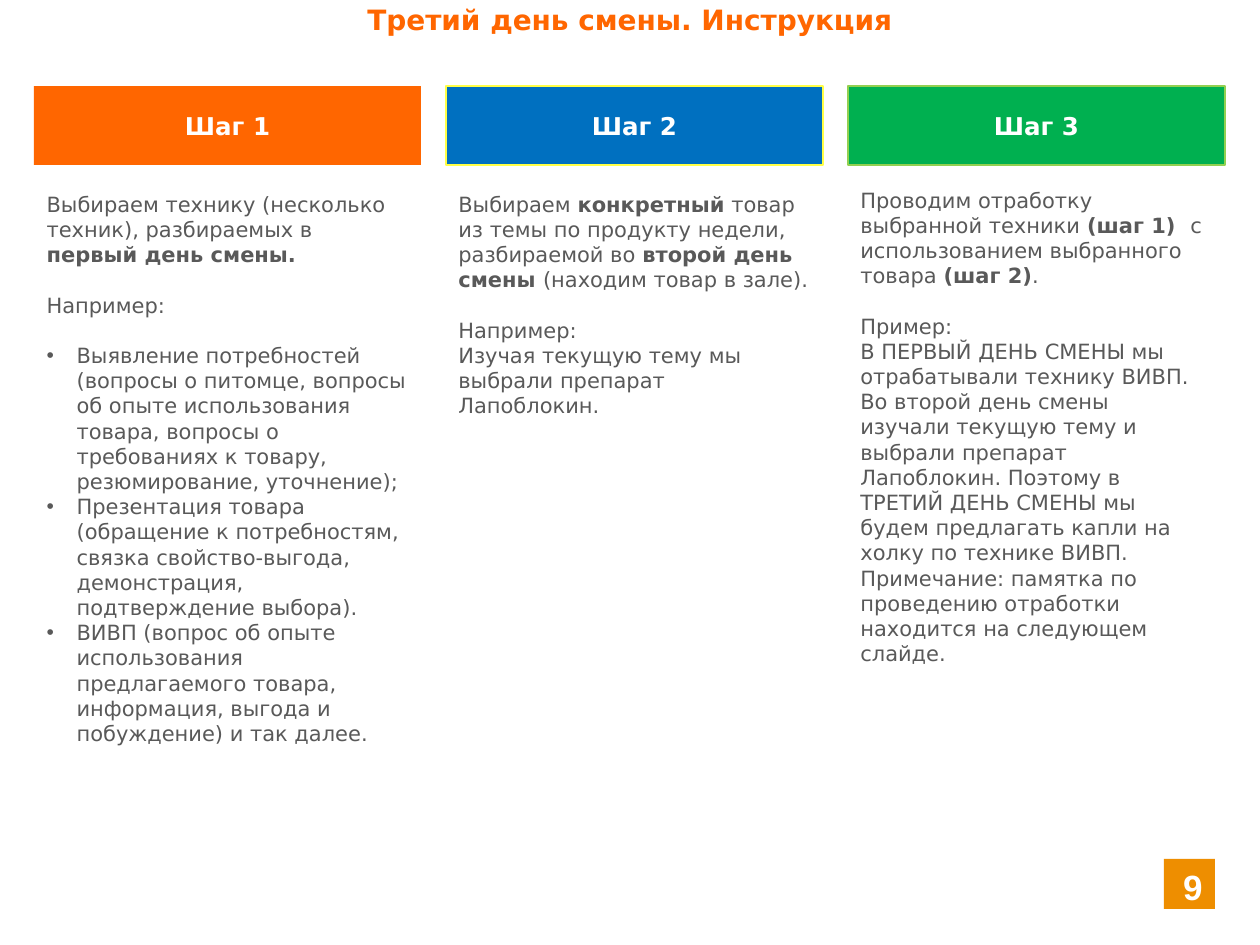
from pptx import Presentation
from pptx.dml.color import RGBColor
from pptx.enum.shapes import MSO_SHAPE as SHAPE
from pptx.enum.text import MSO_ANCHOR as ANCHOR, MSO_AUTO_SIZE as AUTO, PP_ALIGN as ALIGN
from pptx.oxml.ns import qn
from pptx.util import Emu, Pt
from lxml.etree import SubElement

TITLE = "Третий день смены. Инструкция"
PAGE = "9"
FONT = "DejaVu Sans"
GREY, WHITE, ORANGE = "595959", "FFFFFF", "FF6600"
HEAD_TOP, HEAD_HEIGHT = 86, 79
BULLET_INDENT = 30
BLOCK_GAP = Pt(14.4)

# Each column has blocks set apart by a gap; a block is a list of paragraphs,
# a paragraph a list of runs, with bold runs as one-item tuples.
COLUMNS = [
    dict(head="Шаг 1", fill=ORANGE, line=None, left=34, width=387,
         body=(34, 185, 387, 625), bulleted_block=2, blocks=[
             [["Выбираем технику (несколько техник), разбираемых в ",
               ("первый день смены.",)]],
             [["Например:"]],
             [["Выявление потребностей (вопросы о питомце, вопросы об опыте "
               "использования товара, вопросы о требованиях к товару, "
               "резюмирование, уточнение);"],
              ["Презентация товара (обращение к потребностям, связка "
               "свойство-выгода, демонстрация, подтверждение выбора)."],
              ["ВИВП (вопрос об опыте использования предлагаемого товара, "
               "информация, выгода и побуждение) и так далее."]],
         ]),
    dict(head="Шаг 2", fill="0070C0", line="FFFF47", left=446, width=377,
         body=(446, 185, 377, 377), bulleted_block=None, blocks=[
             [["Выбираем ", ("конкретный",),
               " товар из темы по продукту недели, разбираемой во ",
               ("второй день смены ",), "(находим товар в зале)."]],
             [["Например:"],
              ["Изучая текущую тему мы выбрали препарат Лапоблокин."]],
         ]),
    dict(head="Шаг 3", fill="00B050", line="92D050", left=848, width=377,
         body=(848, 181, 367, 625), bulleted_block=None, blocks=[
             [["Проводим отработку выбранной техники ", ("(шаг 1)  ",),
               "с использованием выбранного товара ", ("(шаг 2)",), "."]],
             [["Пример:"],
              ["В ПЕРВЫЙ ДЕНЬ СМЕНЫ мы отрабатывали технику ВИВП. Во второй "
               "день смены изучали текущую тему и выбрали препарат "
               "Лапоблокин. Поэтому в ТРЕТИЙ ДЕНЬ СМЕНЫ мы будем предлагать "
               "капли на холку по технике ВИВП."],
              ["Примечание: памятка по проведению отработки находится на "
               "следующем слайде."]],
         ]),
]


def px(n):
    return Emu(round(n * 914400 / 126))


def rgb(hex_string):
    return RGBColor.from_string(hex_string)


def place(sp, left, top, width, height):
    sp.left, sp.top, sp.width, sp.height = map(px, (left, top, width, height))


def style(r, size, color, bold=False, name=FONT):
    r.font.name, r.font.size, r.font.bold = name, Pt(size), bold
    r.font.color.rgb = rgb(color)


def set_frame(sp, anchor):
    tf = sp.text_frame
    tf.word_wrap = True
    tf.auto_size = AUTO.NONE
    tf.vertical_anchor = anchor
    return tf


def set_line(sp, text, size, color, align, anchor=ANCHOR.TOP, name=FONT):
    """Fill a shape with one bold line of text."""
    p = set_frame(sp, anchor).paragraphs[0]
    p.text = text
    p.alignment = align
    style(p.runs[0], size, color, True, name)


def add_rect(slide, box, fill, line=None):
    sp = slide.shapes.add_shape(SHAPE.RECTANGLE, *map(px, box))
    sp.shadow.inherit = False
    sp.fill.solid()
    sp.fill.fore_color.rgb = rgb(fill)
    if line:
        sp.line.color.rgb = rgb(line)
        sp.line.width = Pt(0.75)
    else:
        sp.line.fill.background()
    return sp


def set_bullet(p, bulleted):
    pPr = p._p.get_or_add_pPr()
    indent = px(BULLET_INDENT) if bulleted else 0
    pPr.set("marL", str(indent))
    pPr.set("indent", str(-indent))
    if bulleted:
        SubElement(pPr, qn("a:buFont")).set("typeface", "Arial")
        SubElement(pPr, qn("a:buChar")).set("char", "•")
    else:
        SubElement(pPr, qn("a:buNone"))


def fill_body(sp, column):
    tf = set_frame(sp, ANCHOR.TOP)
    p = None
    for b, block in enumerate(column["blocks"]):
        for i, runs in enumerate(block):
            p = tf.add_paragraph() if p else tf.paragraphs[0]
            set_bullet(p, b == column["bulleted_block"])
            p.alignment = ALIGN.LEFT
            p.space_before = BLOCK_GAP if b and i == 0 else Pt(0)
            for run in runs:
                bold = isinstance(run, tuple)
                r = p.add_run()
                r.text = run[0] if bold else run
                style(r, 12, GREY, bold)


def main():
    prs = Presentation()
    prs.slide_width, prs.slide_height = px(1260), px(945)
    slide = prs.slides.add_slide(prs.slide_layouts[1])
    title, content = slide.placeholders

    place(title, 0, -4, 1260, 47)
    set_line(title, TITLE, 16, ORANGE, ALIGN.CENTER)

    for n, column in enumerate(COLUMNS):
        box = column["left"], HEAD_TOP, column["width"], HEAD_HEIGHT
        head = add_rect(slide, box, column["fill"], column["line"])
        set_line(head, column["head"], 14, WHITE, ALIGN.CENTER, ANCHOR.MIDDLE)
        body = slide.shapes.add_textbox(0, 0, 0, 0) if n else content
        place(body, *column["body"])
        fill_body(body, column)

    badge = add_rect(slide, (1164, 859, 51, 50), "EE8E00")
    set_line(badge, PAGE, 20, WHITE, ALIGN.RIGHT, name="Arial")
    prs.save("out.pptx")


if __name__ == "__main__":
    main()
